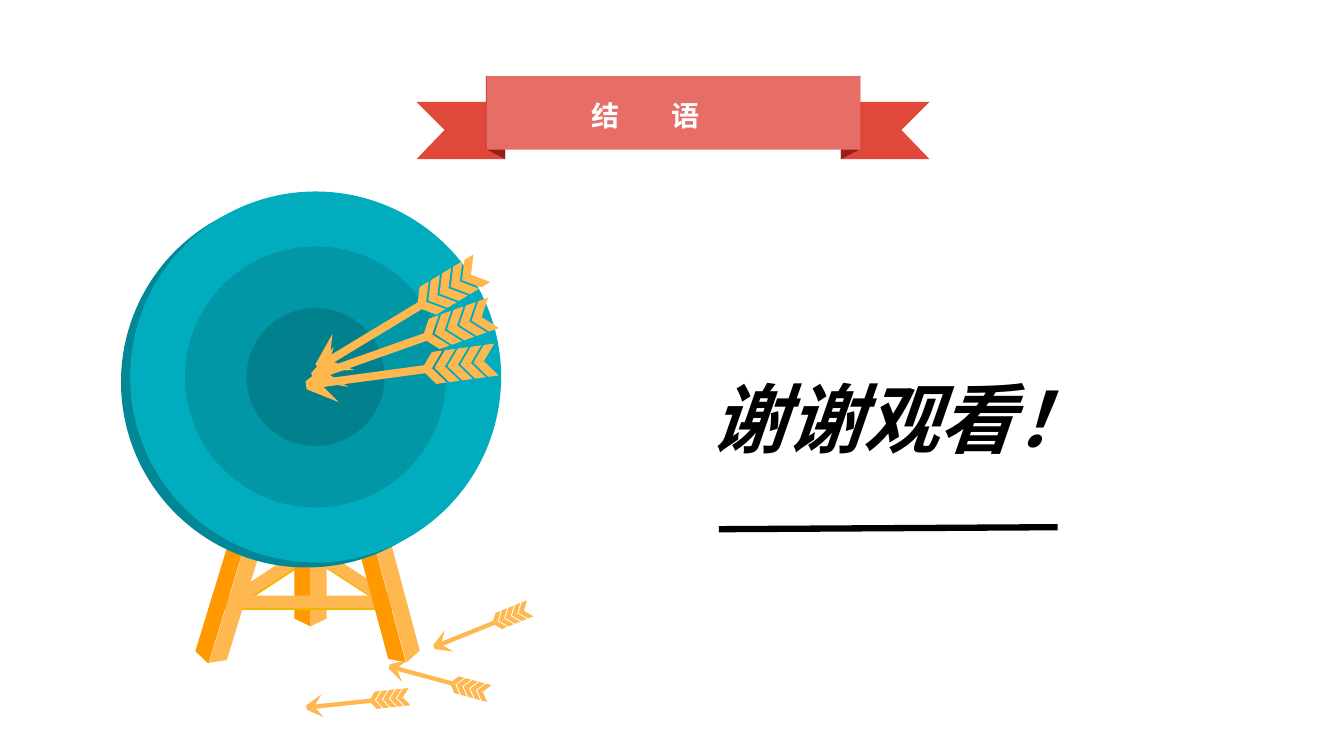
"""Build the closing slide with a banner, an archery target and thanks."""
from math import cos, radians, sin
from lxml.etree import SubElement as Sub
from pptx import Presentation
from pptx.dml.color import RGBColor
from pptx.enum.shapes import MSO_CONNECTOR as Link, MSO_SHAPE as Kind
from pptx.enum.text import MSO_ANCHOR as Anchor, MSO_AUTO_SIZE as Auto, PP_ALIGN as Align
from pptx.oxml.ns import qn
from pptx.util import Inches, Pt

FONT = "Noto Sans CJK SC"
WHITE = RGBColor(0xFF, 0xFF, 0xFF)
BLACK = RGBColor(0, 0, 0)
RED = RGBColor(0xE0, 0x48, 0x3C)
MAROON = RGBColor(0x95, 0x20, 0x17)
CORAL = RGBColor(0xE7, 0x6E, 0x66)
SAND = RGBColor(0xFF, 0xB8, 0x50)
ORANGE = RGBColor(0xFF, 0x98, 0x01)
GOLD = RGBColor(0xF2, 0xB8, 0x00)
RIM = RGBColor(0x01, 0x87, 0x95)
TEAL = RGBColor(0x01, 0xAC, 0xBF)
MID = RGBColor(0x01, 0x97, 0xA7)
CORE = RGBColor(0x01, 0x80, 0x8D)

deck = Presentation()
deck.slide_width, deck.slide_height = Inches(13.33), Inches(7.5)
slide = deck.slides.add_slide(deck.slide_layouts[0])
shapes = slide.shapes
title, thanks = slide.placeholders


def form(kind, mid, size, hue, turn=0, adj=None, flip=False):
    """Add a filled preset shape around its middle point."""
    (x, y), (w, h) = mid, size
    part = shapes.add_shape(kind, Inches(x - w / 2), Inches(y - h / 2), Inches(w), Inches(h))
    part.fill.solid()
    part.fill.fore_color.rgb = hue
    part.line.fill.background()
    part.shadow.inherit = False
    part.rotation = turn
    if adj is not None:
        part.adjustments[0] = adj
    if flip:
        part.element.spPr.get_or_add_xfrm().set("flipV", "1")


def poly(points, hue):
    """Add a filled closed outline through the points."""
    (x, y), *rest = [(Inches(a), Inches(b)) for a, b in points]
    pen = shapes.build_freeform(x, y)
    pen.add_line_segments(rest, close=True)
    part = pen.convert_to_shape()
    part.fill.solid()
    part.fill.fore_color.rgb = hue
    part.line.fill.background()
    part.shadow.inherit = False


tail = [(5.01, 1.01), (4.13, 1.01), (4.41, 1.29), (4.13, 1.58), (5.01, 1.58)]
fold = [(4.82, 0.75), (4.82, 1.48), (5.01, 1.58), (5.01, 0.85)]
for points, hue in ((tail, RED), (fold, MAROON)):
    poly(points, hue)
    poly([(13.35 - x, y) for x, y in points], hue)
form(Kind.RECTANGLE, (6.68, 1.12), (3.71, 0.73), CORAL)

tree = title.element.getparent()
texts = [
    (title, "结\t语", (5.77, 0.92, 1.5, 0.44),
     dict(size=Pt(20), bold=True, italic=False), WHITE),
    (thanks, "谢谢观看！", (6.96, 3.63, 4, 1.01),
     dict(size=Pt(54), bold=True, italic=True), BLACK),
]
for box, words, place, style, hue in texts:
    tree.append(box.element)
    for name, value in zip(("left", "top", "width", "height"), place):
        setattr(box, name, Inches(value))
    frame = box.text_frame
    frame.text = words
    frame.word_wrap = True
    frame.auto_size = Auto.NONE
    frame.vertical_anchor = Anchor.MIDDLE
    para = frame.paragraphs[0]
    para.alignment = Align.LEFT
    para.space_before = Pt(0)
    if "\t" in words:
        tabs = Sub(para._p.get_or_add_pPr(), qn("a:tabLst"))
        Sub(tabs, qn("a:tab"), pos=str(Inches(0.79)), algn="l")
    for run in para.runs:
        for name, value in style.items():
            setattr(run.font, name, value)
        run.font.color.rgb = hue
        run.font.name = FONT
        Sub(run.font._element, qn("a:ea"), typeface=FONT)

rule = shapes.add_connector(Link.STRAIGHT, Inches(7.13), Inches(5.25), Inches(10.49), Inches(5.23))
rule.line.color.rgb = BLACK
rule.line.width = Pt(4.5)
Sub(rule.element.spPr, qn("a:effectLst"))

bars = [
    ((3.47, 5.72), GOLD, 0.95, 32.9), ((3.48, 5.71), SAND, 0.95, 32.9),
    ((2.67, 5.75), GOLD, 0.95, 326.7), ((2.66, 5.73), SAND, 0.95, 326.7),
    ((3.06, 5.99), GOLD, 1.68, 0), ((3.06, 5.97), SAND, 1.68, 0),
]
legs = [((3, 4.95), (3.16, 4.95), 90), ((3.62, 5.37), (3.78, 5.33), 75),
        ((2.36, 5.35), (2.52, 5.39), 107)]
stand = [("bar", bars[:4]), ("leg", legs[:1]), ("bar", bars[4:]), ("leg", legs[1:])]
for sort, items in stand:
    for item in items:
        if sort == "bar":
            mid, hue, width, turn = item
            form(Kind.TRAPEZOID, mid, (width, 0.12), hue, turn, 0.433)
        else:
            dark, light, turn = item
            form(Kind.PARALLELOGRAM, dark, (2.53, 0.16), ORANGE, turn, 0.49)
            form(Kind.PARALLELOGRAM, light, (2.53, 0.16), SAND, turn, 0.49, True)

rings = [((3.04, 3.79), 3.68, RIM), ((3.13, 3.74), 3.68, TEAL),
         ((3.13, 3.74), 2.59, MID), ((3.13, 3.74), 1.37, CORE)]
for mid, size, hue in rings:
    form(Kind.OVAL, mid, (size, size), hue)

arrows = [
    (4.65, 6.28, -21.9, 0.54), (4.22, 6.71, 15.1, 0.54), (3.41, 6.98, -6, 0.54),
    (3.75, 3.51, -19.5, 1), (3.74, 3.29, -31.2, 1), (3.72, 3.73, -7.7, 1),
]
head = [(-0.39, 0.21), (-0.69, 0.04), (-0.69, -0.04), (-0.39, -0.21), (-0.55, 0)]
vanes = [(0.58 + 0.13 * i, side * 0.08) for i in range(5) for side in (-1, 1)]
for x, y, turn, scale in arrows:
    c, s = scale * cos(radians(turn)), scale * sin(radians(turn))
    tip, *mids = [[(x + u * c - v * s, y + u * s + v * c) for u, v in group]
                  for group in (head, vanes)]
    poly(tip, SAND)
    form(Kind.RECTANGLE, (x, y), (1.12 * scale, 0.08 * scale), SAND, turn)
    for i, mid in enumerate(mids[0]):
        form(Kind.PARALLELOGRAM, mid, (0.23 * scale, 0.16 * scale), SAND, turn, 0.787, i % 2 == 1)

deck.save("out.pptx")
